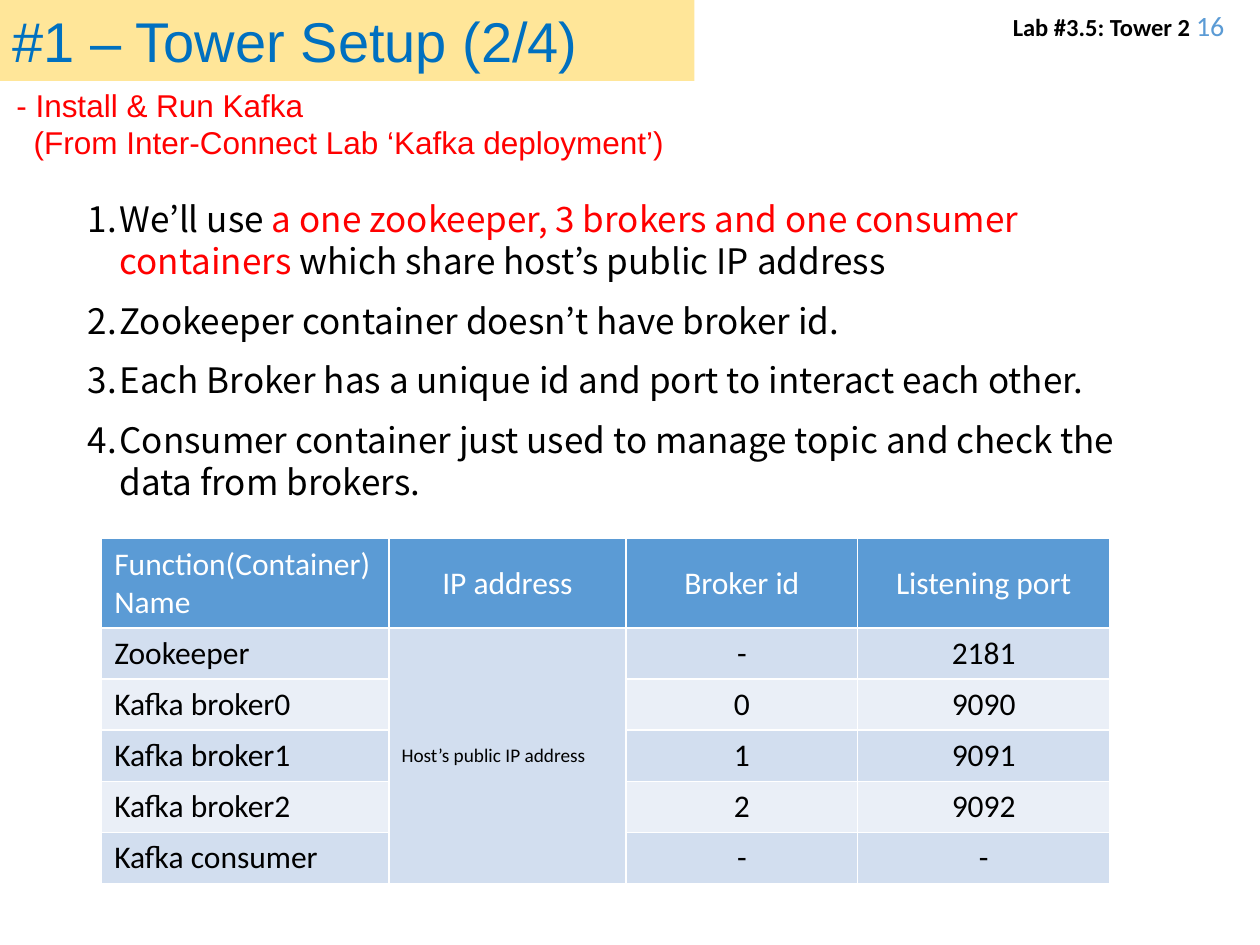
import pptx
import pptx.util
import pptx.dml.color
import pptx.enum.shapes
import pptx.enum.text
import pptx.oxml.ns
import lxml.etree

Cm = pptx.util.Cm
Pt = pptx.util.Pt
ALIGN = pptx.enum.text.PP_ALIGN
ANCHOR = pptx.enum.text.MSO_ANCHOR
qn = pptx.oxml.ns.qn

COLORS = {
    "black": "000000", "white": "FFFFFF", "red": "FF0000",
    "title": "0070C0", "banner": "FFE699", "accent": "5B9BD5",
    "band_dark": "D2DEEF", "band_light": "EAEFF7",
}


def color(name):
    return pptx.dml.color.RGBColor.from_string(COLORS[name])


def add_run(paragraph, text, color_name, **font_format):
    run = paragraph.add_run()
    run.text = text
    run.font.color.rgb = color(color_name)
    for attribute, value in font_format.items():
        setattr(run.font, attribute, value)


presentation = pptx.Presentation()
presentation.slide_width = Cm(25.4)
presentation.slide_height = Cm(19.05)
slide = presentation.slides.add_slide(presentation.slide_layouts[6])

# Lab name and page number
header = slide.shapes.add_textbox(Cm(19.69), Cm(0), Cm(5.72), Cm(1.02))
header.text_frame.word_wrap = True
header.text_frame.vertical_anchor = ANCHOR.MIDDLE
paragraph = header.text_frame.paragraphs[0]
paragraph.alignment = ALIGN.CENTER
add_run(paragraph, "Lab #3.5: Tower 2 ", "black", name="Calibri", size=Pt(14), bold=True)
add_run(paragraph, "16", "accent", name="Calibri", size=Pt(16), bold=False)

# Numbered points
points = [
    [("We’ll use ", "black"),
     ("a one zookeeper, 3 brokers and one consumer containers ", "red"),
     ("which share host’s public IP address", "black")],
    [("Zookeeper container doesn’t have broker id.", "black")],
    [("Each Broker has a unique id and port to interact each other.", "black")],
    [("Consumer container just used to manage topic and check the data from brokers.", "black")],
]
body = slide.shapes.add_textbox(Cm(1.52), Cm(3.86), Cm(21.39), Cm(6.48))
body.text_frame.word_wrap = True
for index, runs in enumerate(points):
    paragraph = body.text_frame.paragraphs[0] if index == 0 else body.text_frame.add_paragraph()
    properties = paragraph._p.get_or_add_pPr()
    properties.set("marL", str(Cm(0.64)))
    properties.set("indent", str(-Cm(0.64)))
    lxml.etree.SubElement(properties, qn("a:buFont"), typeface="+mj-lt")
    lxml.etree.SubElement(properties, qn("a:buAutoNum"), type="arabicPeriod")
    paragraph.line_spacing = Pt(24)
    paragraph.space_before = Pt(10 if index else 0)
    for text, color_name in runs:
        add_run(paragraph, text, color_name, name="Noto Sans CJK KR", size=Pt(20))

# Container table
rows = [
    ["Function(Container) Name", "IP address", "Broker id", "Listening port"],
    ["Zookeeper", "Host’s public IP address", "-", "2181"],
    ["Kafka broker0", "", "0", "9090"],
    ["Kafka broker1", "", "1", "9091"],
    ["Kafka broker2", "", "2", "9092"],
    ["Kafka consumer", "", "-", "-"],
]
column_widths = [5.79, 4.78, 4.67, 5.08]
table = slide.shapes.add_table(
    len(rows), len(column_widths), Cm(2.05), Cm(10.86), Cm(20.32), Cm(6.95)).table
for column, width in zip(table.columns, column_widths):
    column.width = Cm(width)
for row_index, texts in enumerate(rows):
    is_header = row_index == 0
    table.rows[row_index].height = Cm(1.8 if is_header else 1.03)
    band = "accent" if is_header else "band_dark" if row_index % 2 else "band_light"
    for column_index, text in enumerate(texts):
        cell = table.cell(row_index, column_index)
        is_address = column_index == 1 and not is_header
        for side in ("lnL", "lnR", "lnT", "lnB"):
            line = lxml.etree.SubElement(
                cell._tc.get_or_add_tcPr(), qn(f"a:{side}"), w=str(Pt(1)))
            line_fill = lxml.etree.SubElement(line, qn("a:solidFill"))
            lxml.etree.SubElement(line_fill, qn("a:srgbClr"), val=COLORS["white"])
        cell.fill.solid()
        cell.fill.fore_color.rgb = color("band_dark" if is_address else band)
        cell.vertical_anchor = ANCHOR.MIDDLE if is_header or is_address else ANCHOR.TOP
        if text:
            paragraph = cell.text_frame.paragraphs[0]
            is_left = column_index == 0 or is_address
            paragraph.alignment = ALIGN.LEFT if is_left else ALIGN.CENTER
            add_run(paragraph, text, "white" if is_header else "black",
                    name="Calibri", size=Pt(11 if is_address else 18), bold=False)
table.cell(1, 1).merge(table.cell(len(rows) - 1, 1))

# Title banner
banner = slide.shapes.add_shape(
    pptx.enum.shapes.MSO_SHAPE.RECTANGLE, Cm(0), Cm(0), Cm(14), Cm(1.63))
banner.shadow.inherit = False
banner.fill.solid()
banner.fill.fore_color.rgb = color("banner")
banner.line.fill.background()
banner.text_frame.word_wrap = True
paragraph = banner.text_frame.paragraphs[0]
paragraph.alignment = ALIGN.LEFT
add_run(paragraph, "#1 – Tower Setup (2/4)", "title", name="Arial", size=Pt(32))

# Subtitle, second line indented under the dash
subtitle = slide.shapes.add_textbox(Cm(0.08), Cm(1.6), Cm(17.07), Cm(1.8))
subtitle.text_frame.word_wrap = True
paragraph = subtitle.text_frame.paragraphs[0]
add_run(paragraph, "- Install & Run Kafka", "red", name="Arial", size=Pt(18))
paragraph = subtitle.text_frame.add_paragraph()
paragraph._p.get_or_add_pPr().set("marL", str(Cm(0.35)))
add_run(paragraph, "(From Inter-Connect Lab ‘Kafka deployment’)", "red", name="Arial", size=Pt(18))

presentation.save("out.pptx")
